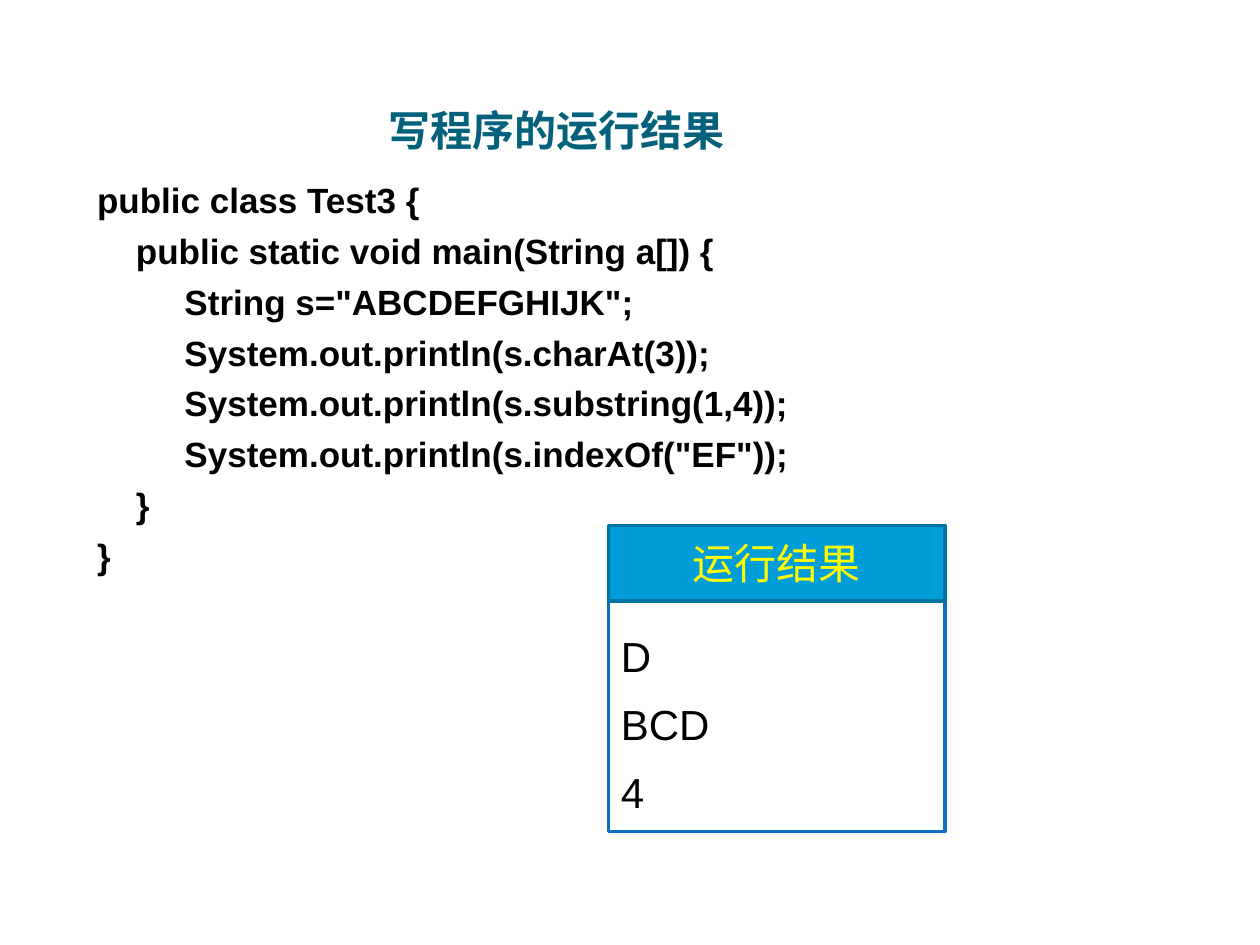
from pptx import Presentation
from pptx import util as u
from pptx.dml.color import RGBColor
from pptx.enum import shapes, text
from pptx.oxml.ns import qn
from lxml import etree

TEAL = RGBColor(0x04, 0x61, 0x7B)
BLACK = RGBColor(0x00, 0x00, 0x00)
WHITE = RGBColor(0xFF, 0xFF, 0xFF)
YELLOW = RGBColor(0xFF, 0xFF, 0x00)
BLUE = RGBColor(0x0F, 0x6F, 0xC6)
CYAN = RGBColor(0x00, 0x9D, 0xD9)
DARK_CYAN = RGBColor(0x00, 0x74, 0xA1)

CODE = '''public class Test3 {
    public static void main(String a[]) {
         String s="ABCDEFGHIJK";
         System.out.println(s.charAt(3));
         System.out.println(s.substring(1,4));
         System.out.println(s.indexOf("EF"));
    }
}'''.split("\n")


def apply(target, values):
    for name, value in values.items():
        setattr(target, name, value)


class SlideBuilder:
    title_font = dict(name="Montserrat", size=u.Pt(24), bold=True)
    code_font = dict(name="Arial", size=u.Pt(20), bold=True)
    result_font = dict(name="Arial", size=u.Pt(24))

    def __init__(self, slide):
        self.slide = slide

    def place(self, shape, box):
        sides = ("left", "top", "width", "height")
        apply(shape, dict(zip(sides, map(u.Inches, box))))

    def fill_text(self, frame, lines, font, color, frame_format, **spacing):
        apply(frame, dict(word_wrap=True, auto_size=text.MSO_AUTO_SIZE.NONE, **frame_format))
        for number, line in enumerate(lines):
            paragraph = frame.add_paragraph() if number else frame.paragraphs[0]
            paragraph.text = line
            apply(paragraph, spacing)
            if not number:
                paragraph.space_before = u.Pt(0)
            for run in paragraph.runs:
                apply(run.font, font)
                run.font.color.rgb = color

    def title(self, line, box):
        heading = self.slide.shapes.title
        self.place(heading, box)
        margins = dict(margin_left=0, margin_top=u.Inches(0.05), margin_right=0, margin_bottom=0)
        self.fill_text(heading.text_frame, [line], self.title_font, TEAL,
                       dict(vertical_anchor=text.MSO_ANCHOR.BOTTOM, **margins),
                       alignment=text.PP_ALIGN.LEFT)

    def code(self, lines, box):
        listing = self.slide.placeholders[1]
        self.place(listing, box)
        self.fill_text(listing.text_frame, lines, self.code_font, BLACK,
                       dict(vertical_anchor=text.MSO_ANCHOR.TOP, margin_top=u.Inches(0.09)),
                       space_before=u.Pt(5))
        for paragraph in listing.text_frame.paragraphs:
            properties = paragraph._p.get_or_add_pPr()
            properties.set("marL", str(u.Inches(0.22)))
            properties.set("indent", str(u.Inches(-0.22)))
            etree.SubElement(properties, qn("a:buNone"))

    def group(self):
        return self.slide.shapes.add_group_shape()

    def panel(self, group, lines, box, fill, line, color, frame_format, **spacing):
        panel = group.shapes.add_shape(shapes.MSO_SHAPE.RECTANGLE, *map(u.Inches, box))
        panel.shadow.inherit = False
        panel.fill.solid()
        panel.fill.fore_color.rgb = fill
        panel.line.color.rgb = line
        panel.line.width = u.Pt(2)
        self.fill_text(panel.text_frame, lines, self.result_font, color, frame_format, **spacing)


def main():
    deck = Presentation()
    apply(deck, dict(slide_width=u.Inches(10), slide_height=u.Inches(7.5)))
    page = SlideBuilder(deck.slides.add_slide(deck.slide_layouts[1]))
    page.title("写程序的运行结果", (3.08, 0.58, 6.08, 0.65))
    page.code(CODE, (0.67, 1.33, 8.5, 4.5))
    result = page.group()
    page.panel(result, ["D", "BCD", "4"], (4.83, 4.35, 2.67, 2.25), WHITE, BLUE, BLACK,
               dict(vertical_anchor=text.MSO_ANCHOR.TOP, margin_top=u.Inches(0.7)),
               alignment=text.PP_ALIGN.LEFT, line_spacing=0.9,
               space_before=u.Pt(9), space_after=u.Pt(4))
    page.panel(result, ["运行结果"], (4.83, 4.17, 2.67, 0.6), CYAN, DARK_CYAN, YELLOW,
               dict(vertical_anchor=text.MSO_ANCHOR.MIDDLE), alignment=text.PP_ALIGN.CENTER)
    deck.save("out.pptx")


if __name__ == "__main__":
    main()
